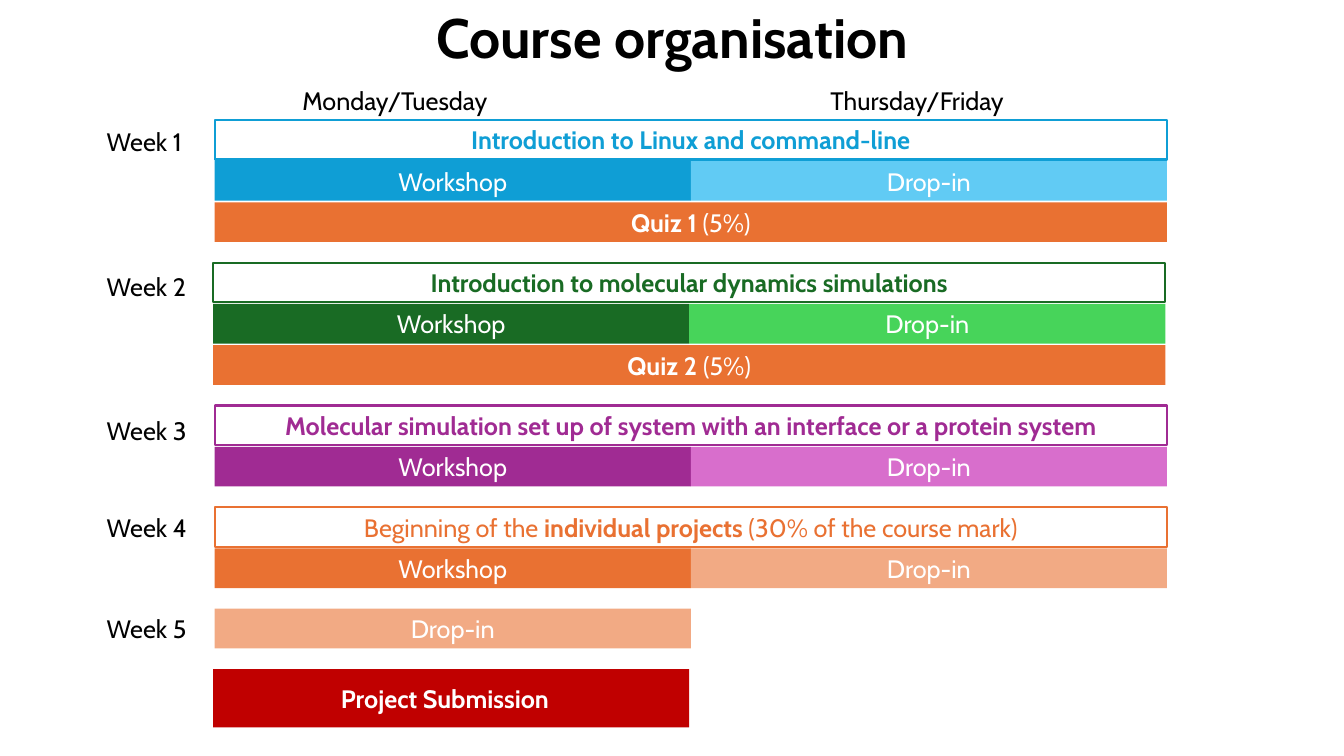
import pptx
import pptx.dml.color
import pptx.enum.shapes
import pptx.enum.text
import pptx.util

Cm = pptx.util.Cm
ALIGN = pptx.enum.text.PP_ALIGN
HUES = {
    "black": "000000", "white": "FFFFFF", "red": "C00000",
    "blue": "0F9ED5", "sky": "61CBF4",
    "green": "196B24", "lime": "47D45A",
    "plum": "A02B93", "pink": "D86ECC",
    "orange": "E97132", "peach": "F2AA84",
}
LEFT, HALF, TALL = 5.41, 12, 1
STEP, GAP, TOP = 1.04, 0.48, 3.02

WEEKS = [
    dict(name="Week 1", drop=0.03, dark="blue", light="sky", quiz="Quiz 1",
         head=[("Introduction to Linux and command-line", True)]),
    dict(name="Week 2", drop=0.08, dark="green", light="lime", quiz="Quiz 2", shift=-0.04,
         head=[("Introduction to molecular dynamics simulations", True)]),
    dict(name="Week 3", drop=0.13, dark="plum", light="pink",
         head=[("Molecular simulation set up of system with an interface or a protein system", True)]),
    dict(name="Week 4", drop=0, dark="orange", light="peach",
         head=[("Beginning of the ", False), ("individual projects ", True),
               ("(30% of the course mark)", False)]),
]


def tint(name):
    return pptx.dml.color.RGBColor.from_string(HUES[name])


def write(para, text, font="Cabin", size=18, hue="black", bold=False):
    run = para.add_run()
    run.text = text
    run.font.name = font
    run.font.size = pptx.util.Pt(size)
    run.font.bold = bold
    run.font.color.rgb = tint(hue)


class Board:
    def __init__(self, slide, font):
        self.slide = slide
        self.font = font

    def title(self, text):
        box = self.slide.shapes.add_textbox(Cm(2.34), Cm(0.08), Cm(29.2), Cm(1.88))
        frame = box.text_frame
        frame.word_wrap = True
        frame.vertical_anchor = pptx.enum.text.MSO_ANCHOR.MIDDLE
        para = frame.paragraphs[0]
        para.alignment = ALIGN.CENTER
        para.line_spacing = 0.9
        write(para, text, font=self.font, size=39.6, bold=True)

    def label(self, text, left, top, width=2.54):
        box = self.slide.shapes.add_textbox(Cm(left), Cm(top), Cm(width), Cm(1.02))
        frame = box.text_frame
        frame.word_wrap = False
        frame.auto_size = pptx.enum.text.MSO_AUTO_SIZE.SHAPE_TO_FIT_TEXT
        write(frame.paragraphs[0], text, font=self.font)

    def bar(self, parts, left, top, width=HALF, tall=TALL, fill=None, line=None):
        kind = pptx.enum.shapes.MSO_SHAPE.RECTANGLE
        bar = self.slide.shapes.add_shape(kind, Cm(left), Cm(top), Cm(width), Cm(tall))
        bar.shadow.inherit = False
        if fill:
            bar.fill.solid()
            bar.fill.fore_color.rgb = tint(fill)
        else:
            bar.fill.background()
        if line:
            bar.line.color.rgb = tint(line)
            bar.line.width = pptx.util.Pt(1.5)
        else:
            bar.line.fill.background()
        frame = bar.text_frame
        frame.word_wrap = True
        frame.vertical_anchor = pptx.enum.text.MSO_ANCHOR.MIDDLE
        para = frame.paragraphs[0]
        para.alignment = ALIGN.CENTER
        for text, bold in parts:
            write(para, text, font=self.font, hue=line or "white", bold=bold)
        return bar

    def week(self, top, name, drop, head, dark, light, quiz=None, shift=0):
        left = LEFT + shift
        self.label(name, 2.44, top + drop)
        self.bar(head, left, top, 2 * HALF, line=dark)
        top += STEP
        self.bar([("Workshop", False)], left, top, fill=dark)
        self.bar([("Drop-in", False)], left + HALF, top, fill=light)
        top += STEP
        if quiz:
            self.bar([(quiz, True), (" (5%)", False)], left, top, 2 * HALF, fill="orange")
            top += STEP
        return top + GAP


def main():
    deck = pptx.Presentation()
    deck.slide_width = Cm(33.87)
    deck.slide_height = Cm(19.05)
    board = Board(deck.slides.add_slide(deck.slide_layouts[6]), "Cabin")

    board.title("Course organisation")
    board.label("Monday/Tuesday", 7.37, 2.03, 5.21)
    board.label("Thursday/Friday", 20.68, 2.03, 4.95)

    top = TOP
    for week in WEEKS:
        top = board.week(top, **week)

    board.label("Week 5", 2.44, top)
    board.bar([("Drop-in", False)], LEFT, top, fill="peach")
    top += STEP + GAP
    final = board.bar([("Project Submission", True)], LEFT - 0.04, top, tall=1.47, fill="red")
    final.text_frame.margin_right = Cm(0.56)

    deck.save("out.pptx")


if __name__ == "__main__":
    main()
